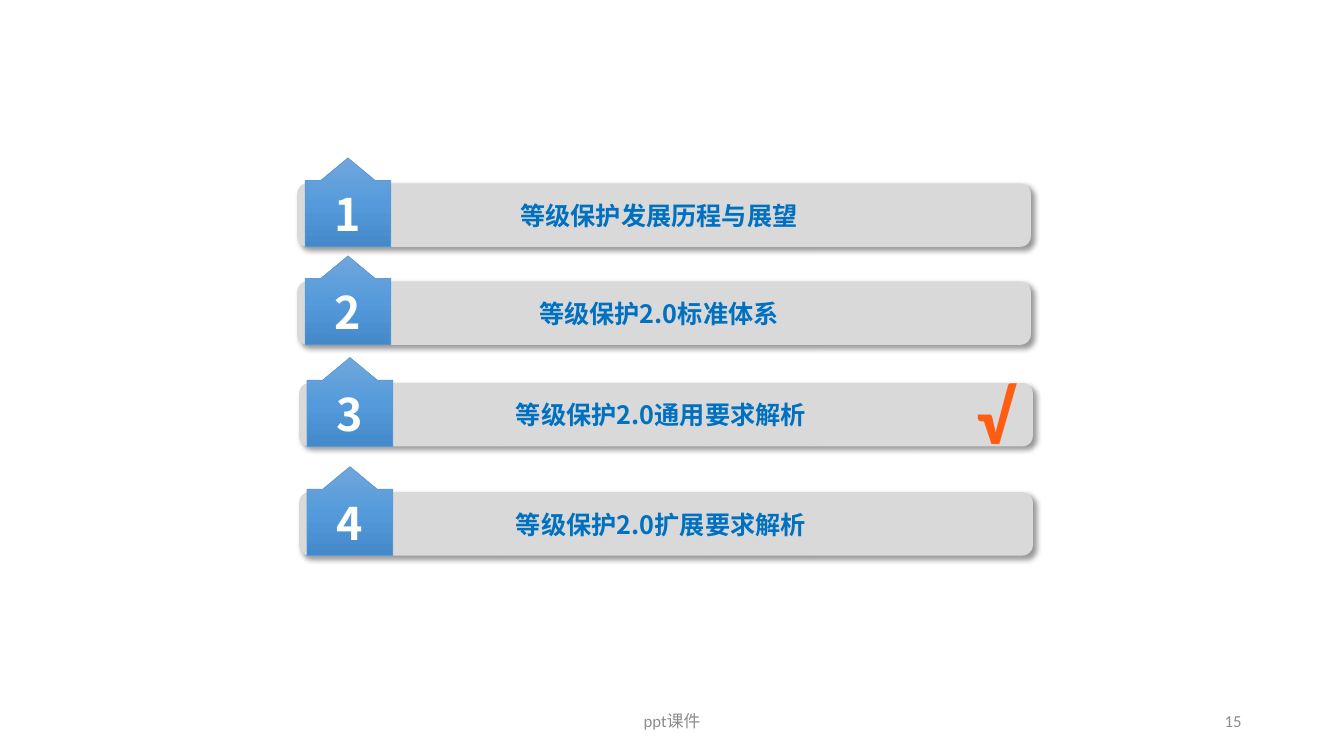
"""Build the agenda slide: four numbered topics, the third one ticked."""
from lxml import etree
from pptx import Presentation
from pptx import util as u
from pptx.dml.color import RGBColor
from pptx.enum import shapes, text
from pptx.oxml import ns

COLOURS = {
    "bar": "D9D9D9", "badge_line": "5B9BD5", "number": "FFFFFF",
    "topic": "0070C0", "tick": "FF5D12", "footer": "8C8C8C", "shadow": "000000",
}
BADGE_STOPS = [(0, "71A6DB"), (50, "559BDB"), (100, "448ACA")]
BADGE_ADJUSTMENTS = [1.606, 0.318, 0.265, 0.81]
CJK, LATIN = "Noto Sans CJK SC", "Calibri"
TOPICS = [
    ("等级保护发展历程与展望", 7.49, 4.62),
    ("等级保护2.0标准体系", 7.49, 7.09),
    ("等级保护2.0通用要求解析", 7.54, 9.65),
    ("等级保护2.0扩展要求解析", 7.54, 12.4),
]


def write(frame, words, size, colour, font=CJK, bold=True,
          align=text.PP_ALIGN.CENTER, anchor=text.MSO_ANCHOR.MIDDLE):
    frame.word_wrap = True
    frame.vertical_anchor = anchor
    paragraph = frame.paragraphs[0]
    paragraph.alignment = align
    run = paragraph.add_run()
    run.text = words
    run.font.size = u.Pt(size)
    run.font.bold = bold
    run.font.name = font
    run.font.color.rgb = RGBColor.from_string(COLOURS[colour])
    etree.SubElement(run.font._element, ns.qn("a:ea"), typeface=CJK)


def add_colour(parent, value):
    return etree.SubElement(parent, ns.qn("a:srgbClr"), val=value)


class Agenda:
    def __init__(self, slide):
        self.slide = slide

    def shape(self, kind, left, top, width, height):
        shape = self.slide.shapes.add_shape(
            kind, u.Cm(left), u.Cm(top), u.Cm(width), u.Cm(height))
        shape.shadow.inherit = False
        return shape

    def bar(self, left, top):
        bar = self.shape(shapes.MSO_SHAPE.ROUNDED_RECTANGLE, left, top, 18.49, 1.6)
        bar.fill.solid()
        bar.fill.fore_color.rgb = RGBColor.from_string(COLOURS["bar"])
        bar.line.fill.background()
        effects = bar._element.spPr.find(ns.qn("a:effectLst"))
        shadow = etree.SubElement(
            effects, ns.qn("a:outerShdw"), blurRad=str(u.Pt(4)),
            dist=str(u.Pt(3)), dir="2700000", algn="tl", rotWithShape="0")
        etree.SubElement(add_colour(shadow, COLOURS["shadow"]),
                         ns.qn("a:alpha"), val="40000")

    def badge(self, number, left, top):
        badge = self.shape(shapes.MSO_SHAPE.UP_ARROW_CALLOUT, left, top, 2.16, 2.24)
        for index, value in enumerate(BADGE_ADJUSTMENTS):
            badge.adjustments[index] = value
        badge.fill.gradient()
        badge.fill.gradient_angle = 270
        stops = badge._element.spPr.find(".//" + ns.qn("a:gsLst"))
        stops.clear()
        for percent, value in BADGE_STOPS:
            add_colour(etree.SubElement(stops, ns.qn("a:gs"), pos=str(percent * 1000)), value)
        badge.line.color.rgb = RGBColor.from_string(COLOURS["badge_line"])
        badge.line.width = u.Pt(0.5)
        write(badge.text_frame, str(number), 32, "number")

    def label(self, words, left, top, width, height, size, colour, **style):
        box = self.slide.shapes.add_textbox(
            u.Cm(left), u.Cm(top), u.Cm(width), u.Cm(height))
        write(box.text_frame, words, size, colour, **style)

    def topic(self, number, title, left, top):
        self.bar(left, top)
        self.badge(number, left + 0.2, top - 0.64)
        self.label(title, left + 2.41, top + 0.3, 13.41, 1.02, 18, "topic",
                   anchor=text.MSO_ANCHOR.TOP)


def main():
    deck = Presentation()
    deck.slide_width, deck.slide_height = u.Cm(33.87), u.Cm(19.05)
    agenda = Agenda(deck.slides.add_slide(deck.slide_layouts[6]))
    for number, (title, left, top) in enumerate(TOPICS, 1):
        agenda.topic(number, title, left, top)
    agenda.label("√", 24.1, 9.17, 1.98, 2.57, 54, "tick", font=LATIN,
                 anchor=text.MSO_ANCHOR.TOP)
    agenda.label("15", 23.92, 17.66, 7.62, 1.01, 12, "footer", font=LATIN,
                 bold=False, align=text.PP_ALIGN.RIGHT)
    agenda.label("ppt课件", 11.22, 17.66, 11.43, 1.01, 12, "footer", font=LATIN,
                 bold=False)
    deck.save("out.pptx")


if __name__ == "__main__":
    main()
